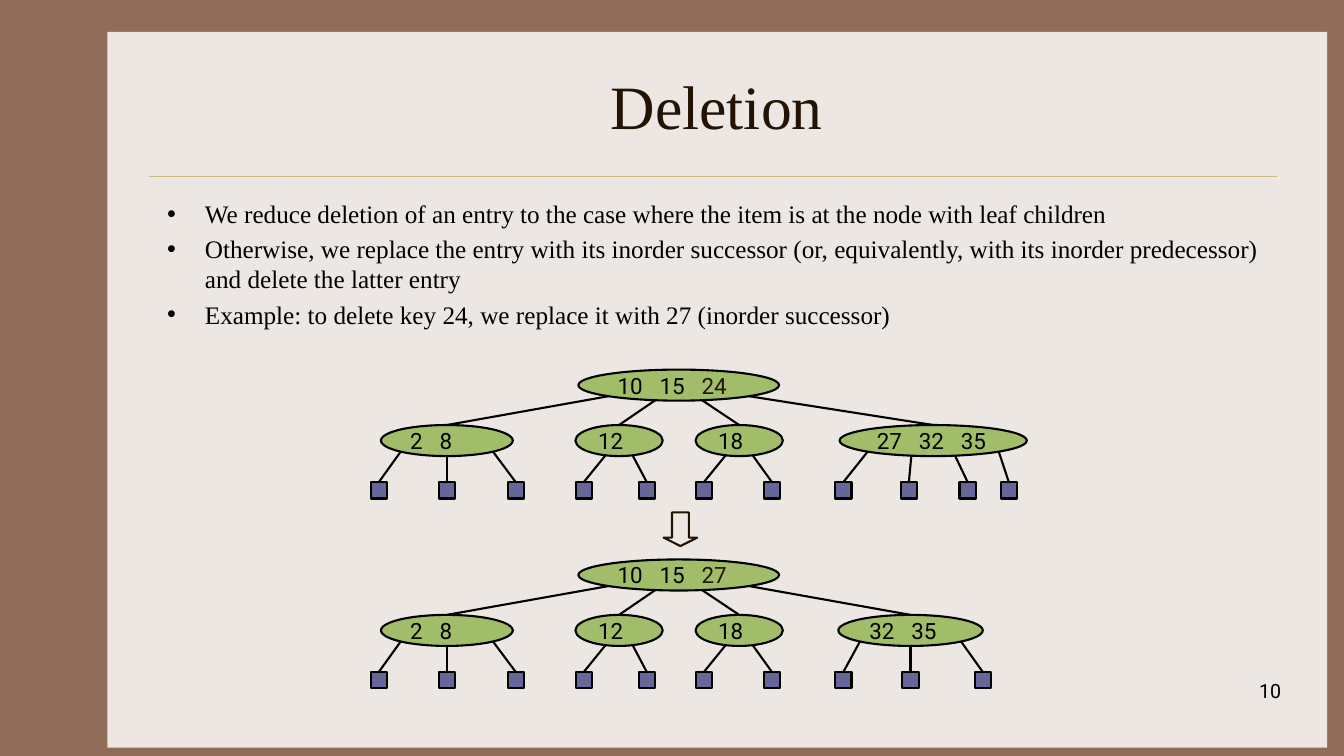
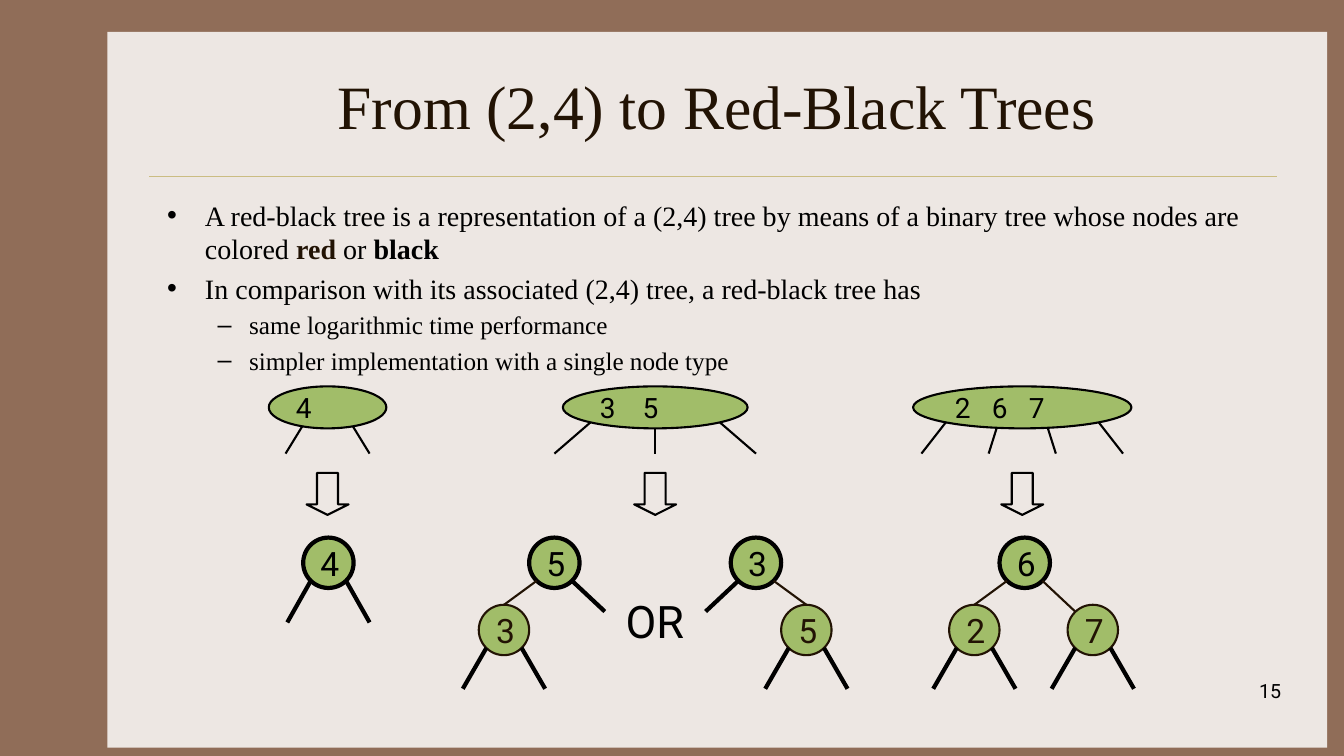
from dataclasses import dataclass
from math import sqrt

from lxml.etree import SubElement
from pptx import Presentation
from pptx.dml.color import RGBColor
from pptx.enum.shapes import MSO_CONNECTOR as LINK, MSO_SHAPE as SHAPE
from pptx.enum.text import MSO_ANCHOR as ANCHOR, MSO_AUTO_SIZE as FIT, PP_ALIGN as ALIGN
from pptx.oxml.ns import qn
from pptx.util import Emu, Pt

COLUMNS, ROWS, CELL = 160, 90, 76200


@dataclass(frozen=True)
class Pen:
    """Colour and width of an outline."""
    ink: str
    width: float


@dataclass(frozen=True)
class Theme:
    """Colours, fonts, type sizes and pens of the deck."""
    frame: str = "906D58"
    panel: str = "EDE7E3"
    rule: str = "CBBD83"
    ink: str = "000000"
    accent: str = "221304"
    node: str = "A1BD69"
    leaf: str = "666699"
    serif: str = "Times New Roman"
    sans: str = "Roboto"
    title: int = 44
    lead: int = 20
    text: int = 18
    small_key: int = 16
    large_key: int = 20
    circle_key: int = 24
    choice: int = 32
    number: int = 14
    thin: Pen = Pen("000000", 1.5)
    bold: Pen = Pen("000000", 3)
    red: Pen = Pen("221304", 1.5)


THEME = Theme()


def cells(*counts):
    """Convert grid cells to slide lengths."""
    return [Emu(round(count * CELL)) for count in counts]


def rgb(code):
    """Turn a hex code into a colour."""
    return RGBColor.from_string(code)


def assign(target, **values):
    """Set several attributes on one object."""
    for name, value in values.items():
        setattr(target, name, value)


def write(paragraph, text, face, size, ink, bold=False):
    """Append one formatted run to a paragraph."""
    run = paragraph.add_run()
    run.text = text
    assign(run.font, name=face, size=Pt(size), bold=bold)
    run.font.color.rgb = rgb(ink)


def outline(line, pen):
    """Apply a pen to a line format."""
    line.color.rgb = rgb(pen.ink)
    line.width = Pt(pen.width)


def add_figure(slide, kind, box, fill=None, pen=None):
    """Add a preset shape with a flat fill and outline."""
    figure = slide.shapes.add_shape(kind, *cells(*box))
    figure.shadow.inherit = False
    if fill:
        figure.fill.solid()
        figure.fill.fore_color.rgb = rgb(fill)
    else:
        figure.fill.background()
    if pen:
        outline(figure.line, pen)
    else:
        figure.line.fill.background()
    return figure


def add_line(slide, start, end, pen):
    """Add a straight connector without a shadow."""
    line = slide.shapes.add_connector(LINK.STRAIGHT, *cells(*start, *end))
    outline(line.line, pen)
    SubElement(line.element.spPr, qn("a:effectLst"))
    return line


def add_label(slide, box, text, size, align, wrap):
    """Add a text box in the sans face."""
    frame = slide.shapes.add_textbox(*cells(*box)).text_frame
    frame.word_wrap = wrap
    frame.paragraphs[0].alignment = align
    write(frame.paragraphs[0], text, THEME.sans, size, THEME.ink)


def add_arrow(slide, center, top, side, pen):
    """Add a hollow block arrow that points down."""
    arrow = add_figure(slide, SHAPE.DOWN_ARROW, (center - side / 2, top, side, side), pen=pen)
    arrow.adjustments[0], arrow.adjustments[1] = 0.5, 0.25


def add_node(slide, center, top, size, keys, type_size, pitch=5, pen=THEME.thin, last_ink=None):
    """Add an ellipse whose keys stand on evenly spaced tab stops."""
    width, height = size
    node = add_figure(slide, SHAPE.OVAL, (center - width / 2, top, width, height), THEME.node, pen)
    frame = node.text_frame
    assign(frame, word_wrap=False, vertical_anchor=ANCHOR.MIDDLE)
    line = frame.paragraphs[0]
    line.alignment = ALIGN.LEFT
    if len(keys) > 1:
        stops = SubElement(line._p.get_or_add_pPr(), qn("a:tabLst"))
        for index in range(1, len(keys)):
            SubElement(stops, qn("a:tab"), pos=str(round(index * pitch * CELL)), algn="l")
    for index, key in enumerate(keys):
        is_last = index == len(keys) - 1
        ink = last_ink if is_last and last_ink else pen.ink
        write(line, ("\t" if index else "") + str(key), THEME.sans, type_size, ink)
    return node


def rim(node, share):
    """Find the lower rim point at a share of the half width."""
    half_width, half_height = node.width / 2, node.height / 2
    x = node.left + half_width * (1 + share)
    y = node.top + half_height * (1 + sqrt(1 - share ** 2))
    return x / CELL, y / CELL


def add_edge(slide, node, share, target, pen):
    """Link a node's rim to a point or to the top of a shape."""
    start = rim(node, share)
    if isinstance(target, tuple):
        add_line(slide, start, target, pen)
    else:
        add_line(slide, start, start, pen).end_connect(target, 0)


def add_fan(slide, node, targets, pen=THEME.thin, reach=0.7):
    """Spread edges evenly along the lower rim of a node."""
    step = 2 * reach / (len(targets) - 1)
    for index, target in enumerate(targets):
        add_edge(slide, node, index * step - reach, target, pen)


def add_search_tree(slide, top, root_keys, branches):
    """Draw a multi-way root, its children and their square leaves."""
    height, leaf_side = 3.7, 1.95
    root = add_node(slide, 80.8, top, (23.9, height), root_keys, THEME.small_key,
                    last_ink=THEME.accent)
    children = []
    for center, width, keys, pitch, leaf_centers in branches:
        child = add_node(slide, center, top + 6.6, (width, height), keys, THEME.small_key, pitch)
        leaves = [add_figure(slide, SHAPE.RECTANGLE,
                             (x - leaf_side / 2, top + 13.4, leaf_side, leaf_side),
                             THEME.leaf, THEME.thin) for x in leaf_centers]
        add_fan(slide, child, leaves, reach=0.31 if len(leaves) == 2 else 0.7)
        children.append(child)
    add_fan(slide, root, children)


def add_circle(slide, center, top, key, pen):
    """Draw one binary tree node."""
    return add_node(slide, center, top, (6, 6), [key], THEME.circle_key, pen=pen)


def add_stubs(slide, circle, center, row):
    """Draw the two open edges below a binary node."""
    add_fan(slide, circle, [(center - 4.9, row), (center + 4.9, row)], THEME.bold)


def add_binary_tree(slide, center, key, children):
    """Draw a black root with red children given by signed distance."""
    root = add_circle(slide, center, 64, key, THEME.bold)
    if not children:
        add_stubs(slide, root, center, 74.1)
        return
    taken = set()
    for distance, child_key in children:
        side = 1 if distance > 0 else -1
        taken.add(side)
        place = center + distance
        child = add_circle(slide, place, 72, child_key, THEME.red)
        target = (place - side * 2.1, 72.8) if abs(distance) > 6 else child
        add_edge(slide, root, side * 0.7, target, THEME.red)
        add_stubs(slide, child, place, 82)
    for side in {-1, 1} - taken:
        add_edge(slide, root, side * 0.7, (center + side * 6, 72.8), THEME.bold)


def place(holder, box):
    """Move a placeholder to a box on the grid."""
    assign(holder, **dict(zip(("left", "top", "width", "height"), cells(*box))))


def style_layout(layout, slide):
    """Give the layout its background, panel, rule and placeholder places."""
    layout.background.fill.solid()
    layout.background.fill.fore_color.rgb = rgb(THEME.frame)
    panel = add_figure(slide, SHAPE.RECTANGLE, (12.8, 3.8, 145.2, 85.2), THEME.panel)
    rule = add_line(slide, (17.8, 21), (152, 21), Pen(THEME.rule, 0.25))
    for index, part in enumerate((panel, rule)):
        layout.shapes.element.insert(2 + index, part.element)
    place(layout.placeholders[0], (18.7, 5, 133.3, 15))
    place(layout.placeholders[1], (18.7, 23, 133.3, 54))


def fill_slide(slide, title, points, number):
    """Write the title, the bulleted points and the slide number."""
    heading, body = slide.shapes.title.text_frame, slide.placeholders[1].text_frame
    assign(heading, auto_size=FIT.NONE, vertical_anchor=ANCHOR.MIDDLE)
    heading.paragraphs[0].alignment = ALIGN.CENTER
    write(heading.paragraphs[0], title, THEME.serif, THEME.title, THEME.accent)
    body.auto_size = FIT.NONE
    for index, (level, size, pieces) in enumerate(points):
        point = body.add_paragraph() if index else body.paragraphs[0]
        point.level = level
        if not index:
            point.space_before = Pt(0)
        for text, ink, bold in pieces:
            write(point, text, THEME.serif, size, ink, bold)
    add_label(slide, (120.4, 80.2, 33.3, 6), str(number), THEME.number, ALIGN.RIGHT, True)


def plain(text, size, level=0):
    """Describe a point with one plain run."""
    return level, size, [(text, THEME.ink, False)]


def draw_deletion(slide):
    """Fill the slide on deletion."""
    fill_slide(slide, "Deletion", [plain(text, THEME.text) for text in (
        "We reduce deletion of an entry to the case where the item is at the node with leaf children",
        "Otherwise, we replace the entry with its inorder successor (or, equivalently, with its "
        "inorder predecessor) and delete the latter entry",
        "Example: to delete key 24, we replace it with 27 (inorder successor)")], 10)
    kept = [(53.2, 15.7, (2, 8), 3.5, (45.1, 53.2, 61.4)),
            (73.7, 10.4, (12,), 5, (69.5, 77)),
            (88, 10.4, (18,), 5, (83.8, 91.9))]
    before = (111.1, 22.3, (27, 32, 35), 5, (100.4, 108.2, 115.2, 120.1))
    after = (108.4, 17.2, (32, 35), 5, (100.4, 108.4, 117))
    add_search_tree(slide, 44, (10, 15, 24), kept + [before])
    add_search_tree(slide, 66.6, (10, 15, 27), kept + [after])
    add_arrow(slide, 81, 61, 4, THEME.red)


def draw_red_black(slide):
    """Fill the slide on red-black trees."""
    lead = [("A red-black tree is a representation of a (2,4) tree by means of a binary tree "
             "whose nodes are colored ", THEME.ink, False),
            ("red", THEME.accent, True), (" or ", THEME.ink, False), ("black", THEME.ink, True)]
    fill_slide(slide, "From (2,4) to Red-Black Trees", [
        (0, THEME.lead, lead),
        plain("In comparison with its associated (2,4) tree, a red-black tree has", THEME.lead),
        plain("same logarithmic time performance", THEME.text, 1),
        plain("simpler implementation with a single node type", THEME.text, 1)], 15)
    for center, width, keys, pitch, spread, reach in (
            (39, 14, (4,), 5, 5, 0.43),
            (78, 22, (3, 5), 5.1, 12, 0.7),
            (121.7, 26, (2, 6, 7), 4.4, 12, 0.7)):
        node = add_node(slide, center, 46, (width, 5), keys, THEME.large_key, pitch)
        gap = 2 * spread / len(keys)
        ends = [(center - spread + index * gap, 54) for index in range(len(keys) + 1)]
        add_fan(slide, node, ends, reach=reach)
        add_arrow(slide, center, 56.3, 5, THEME.thin)
    for center, key, children in (
            (39.1, 4, []), (66, 5, [(-6, 3)]), (90, 3, [(6, 5)]),
            (122, 6, [(-6, 2), (8.1, 7)])):
        add_binary_tree(slide, center, key, children)
    add_label(slide, (73.3, 70.1, 9.5, 7.5), "OR", THEME.choice, ALIGN.LEFT, False)


def main():
    """Build and save the deck."""
    deck = Presentation()
    deck.slide_width, deck.slide_height = cells(COLUMNS, ROWS)
    layout = deck.slide_layouts[1]
    deletion, red_black = [deck.slides.add_slide(layout) for _ in range(2)]
    style_layout(layout, deletion)
    draw_deletion(deletion)
    draw_red_black(red_black)
    deck.save("out.pptx")


if __name__ == "__main__":
    main()
